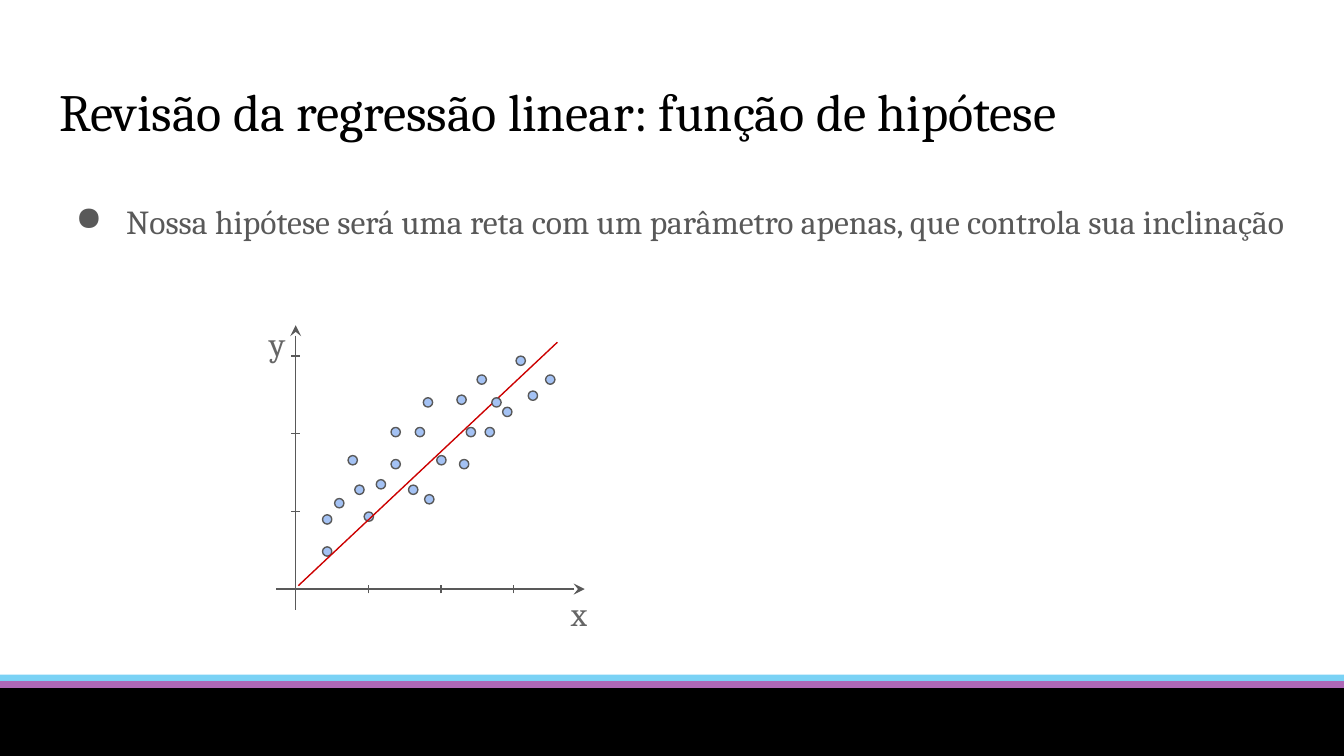
from dataclasses import dataclass

from lxml.etree import SubElement
from pptx import Presentation
from pptx.dml.color import RGBColor
from pptx.enum.shapes import MSO_CONNECTOR as Connector, MSO_SHAPE as Shape
from pptx.enum.text import MSO_ANCHOR as Anchor, MSO_AUTO_SIZE as AutoSize, PP_ALIGN as Align
from pptx.oxml.ns import qn
from pptx.util import Pt


@dataclass(frozen=True)
class Theme:
    font: str = "Cambria"
    title_size: float = 28
    text_size: float = 18
    black: str = "000000"
    ink: str = "595959"
    label: str = "666666"
    dot: str = "A4C2F4"
    fit: str = "CC0000"
    blue: str = "00A9EC"
    pink: str = "E3007B"
    line_width: float = 0.75


class PageBuilder:
    def __init__(self, page, theme):
        self.page = page
        self.theme = theme

    def fill_text(self, box, text, size, color):
        frame = box.text_frame
        frame.text = text
        frame.word_wrap = True
        frame.auto_size = AutoSize.NONE
        frame.vertical_anchor = Anchor.TOP
        frame.margin_left = frame.margin_right = Pt(7.2)
        frame.margin_top = frame.margin_bottom = Pt(7.2)
        para = frame.paragraphs[0]
        para.alignment = Align.LEFT
        for span in para.runs:
            span.font.name = self.theme.font
            span.font.size = Pt(size)
            span.font.color.rgb = RGBColor.from_string(color)
        return para

    def title(self, text, left, top, width, height):
        box = self.page.shapes.title
        box.left, box.top, box.width, box.height = map(Pt, (left, top, width, height))
        self.fill_text(box, text, self.theme.title_size, self.theme.black)

    def text(self, text, left, top, width, height, color):
        box = self.page.shapes.add_textbox(*map(Pt, (left, top, width, height)))
        return self.fill_text(box, text, self.theme.text_size, color)

    def bullet(self, text, left, top, width, height):
        para = self.text(text, left, top, width, height, self.theme.ink)
        para.line_spacing = 1.5
        props = para._p.get_or_add_pPr()
        props.set("marL", str(Pt(36)))
        props.set("indent", str(Pt(-27)))
        color = SubElement(props, qn("a:buClr"))
        SubElement(color, qn("a:srgbClr"), val=self.theme.ink)
        SubElement(props, qn("a:buChar"), char="●")

    def shape(self, kind, left, top, width, height, fill, line=None, opacity=None):
        item = self.page.shapes.add_shape(kind, *map(Pt, (left, top, width, height)))
        item.shadow.inherit = False
        item.fill.solid()
        item.fill.fore_color.rgb = RGBColor.from_string(fill)
        if opacity:
            color = item._element.spPr.find(qn("a:solidFill"))[0]
            SubElement(color, qn("a:alpha"), val=str(opacity * 1000))
        if line:
            item.line.color.rgb = RGBColor.from_string(line)
            item.line.width = Pt(self.theme.line_width)
        else:
            item.line.fill.background()

    def dots(self, corners):
        for left, top in corners:
            self.shape(Shape.OVAL, left, top, 5, 5, self.theme.dot, self.theme.ink)

    def line(self, x1, y1, x2, y2, color, arrow=False):
        item = self.page.shapes.add_connector(Connector.STRAIGHT, *map(Pt, (x1, y1, x2, y2)))
        item.line.color.rgb = RGBColor.from_string(color)
        item.line.width = Pt(self.theme.line_width)
        props = item._element.spPr
        if arrow:
            SubElement(props.find(qn("a:ln")), qn("a:headEnd"), type="stealth")
        SubElement(props, qn("a:effectLst"))


DOTS_BELOW_FIT = [
    (172.8, 275.8), (179.3, 267.1), (190.1, 259.9), (172.8, 293),
    (195.1, 274.3), (227.5, 265), (201.6, 257), (218.9, 259.9),
]
DOTS_ABOVE_FIT = [
    (209.5, 229), (222.5, 229), (226.8, 213.1), (209.5, 246.2),
    (234, 244.1), (269.3, 218.2), (244.8, 211.7), (255.6, 200.9),
    (249.8, 229), (259.9, 229), (263.5, 213.1), (246.2, 246.2),
    (186.5, 244.1), (276.5, 190.8), (283, 209.5), (292.3, 200.9),
]


def main():
    deck = Presentation()
    deck.slide_width, deck.slide_height = Pt(720), Pt(405)
    theme = Theme()
    builder = PageBuilder(deck.slides.add_slide(deck.slide_layouts[5]), theme)

    builder.shape(Shape.RECTANGLE, 0, 361.4, 720, 36, theme.blue, opacity=52)
    builder.shape(Shape.RECTANGLE, 0, 365, 720, 36, theme.pink, opacity=50)
    builder.shape(Shape.RECTANGLE, 0, 369, 720, 36, theme.black, theme.black)

    builder.title("Revisão da regressão linear: função de hipótese", 24.5, 35, 671, 45)
    builder.bullet(
        "Nossa hipótese será uma reta com um parâmetro apenas, que controla sua inclinação",
        24.5, 89.5, 671, 68,
    )

    axis_x, axis_y, tick = 158.4, 315.6, 2.3
    builder.line(axis_x, 174.2, axis_x, 326.8, theme.ink, arrow=True)
    builder.line(313.2, axis_y, 147.6, axis_y, theme.ink, arrow=True)
    for step in (1, 2, 3):
        x, y = axis_x + 38.9 * step, axis_y - 41.6 * step
        builder.line(axis_x + tick, y, axis_x - tick, y, theme.ink)
        builder.line(x, axis_y + tick, x, axis_y - tick, theme.ink)

    builder.dots(DOTS_BELOW_FIT)
    builder.line(159.8, 313.8, 298.6, 183.4, theme.fit)
    builder.dots(DOTS_ABOVE_FIT)

    builder.text("x", 298.8, 310.3, 23, 19.5, theme.label)
    builder.text("y", 138.2, 165.6, 13, 19.5, theme.label)
    deck.save("out.pptx")


if __name__ == "__main__":
    main()
